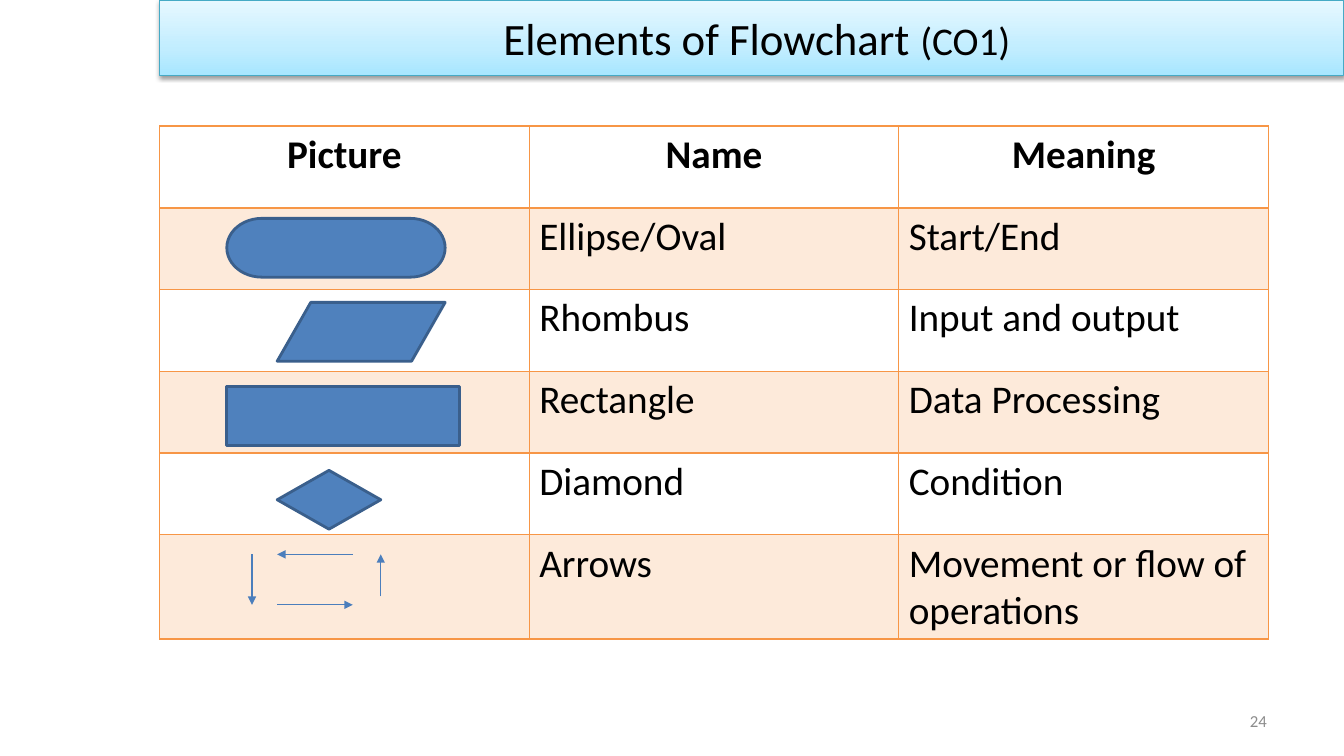
from dataclasses import dataclass

from lxml.etree import SubElement
from pptx import Presentation
from pptx.dml.color import RGBColor
from pptx.enum.shapes import MSO_CONNECTOR, MSO_SHAPE
from pptx.enum.text import MSO_ANCHOR, MSO_AUTO_SIZE, PP_ALIGN
from pptx.oxml import parse_xml
from pptx.oxml.ns import nsdecls, qn
from pptx.slide import Slide
from pptx.table import _Cell
from pptx.text.text import _Paragraph
from pptx.util import Pt


@dataclass(frozen=True)
class Theme:
    font: str = "Calibri"
    ink: str = "000000"
    muted: str = "8C8C8C"
    symbol_fill: str = "4F81BD"
    symbol_line: str = "3A5F8C"
    arrow: str = "4B7EBC"
    grid: str = "F79646"
    band: str = "FDEADA"
    banner_line: str = "46AAC5"
    banner_stops: tuple[tuple[int, str], ...] = (
        (0, "A7E6FF"), (35, "C1EDFF"), (100, "E7F8FF"))
    title_size: float = 32
    text_size: float = 28
    number_size: float = 12


@dataclass(frozen=True)
class Symbol:
    kind: MSO_SHAPE
    left: float
    width: float


@dataclass(frozen=True)
class Arrow:
    start: tuple[float, float]
    end: tuple[float, float]


THEME = Theme()
LEFT = 114
SYMBOL_TOP, SYMBOL_STEP, SYMBOL_HEIGHT = 156, 60, 42
ROWS = (
    ("Picture", "Name", "Meaning"),
    ("", "Ellipse/Oval", "Start/End"),
    ("", "Rhombus", "Input and output"),
    ("", "Rectangle", "Data Processing"),
    ("", "Diamond", "Condition"),
    ("", "Arrows", "Movement or flow of operations"),
)
SYMBOLS = (
    Symbol(MSO_SHAPE.FLOWCHART_TERMINATOR, 162, 156),
    Symbol(MSO_SHAPE.FLOWCHART_DATA, 198, 120),
    Symbol(MSO_SHAPE.FLOWCHART_PROCESS, 162, 166.5),
    Symbol(MSO_SHAPE.FLOWCHART_DECISION, 198, 74),
)
ARROWS = (
    Arrow((180, 396), (180, 432)),
    Arrow((198, 432), (252, 432)),
    Arrow((272, 426), (272, 396)),
    Arrow((252, 396), (198, 396)),
)


def color(code: str) -> RGBColor:
    return RGBColor.from_string(code)


def add_text(para: _Paragraph, text: str, *, size: float = THEME.text_size,
             ink: str = THEME.ink, bold: bool = False,
             align: PP_ALIGN = PP_ALIGN.LEFT) -> None:
    para.alignment = align
    span = para.add_run()
    span.text = text
    span.font.name = THEME.font
    span.font.size = Pt(size)
    span.font.bold = bold
    span.font.color.rgb = color(ink)


def add_banner(page: Slide) -> None:
    banner = page.shapes.title
    banner.left, banner.top = Pt(LEFT), Pt(0)
    banner.width, banner.height = Pt(846), Pt(54)
    stops = "".join(
        f'<a:gs pos="{place * 1000}"><a:srgbClr val="{code}"/></a:gs>'
        for place, code in THEME.banner_stops)
    properties = banner.element.spPr
    properties.append(parse_xml(
        f'<a:prstGeom {nsdecls("a")} prst="rect"><a:avLst/></a:prstGeom>'))
    properties.append(parse_xml(
        f'<a:gradFill {nsdecls("a")} rotWithShape="1"><a:gsLst>{stops}</a:gsLst>'
        '<a:lin ang="16200000" scaled="0"/></a:gradFill>'))
    banner.line.color.rgb = color(THEME.banner_line)
    banner.line.width = Pt(0.75)
    properties.append(parse_xml(
        f'<a:effectLst {nsdecls("a")}><a:outerShdw blurRad="{Pt(3.1)}" '
        f'dist="{Pt(1.6)}" dir="5400000" rotWithShape="0"><a:srgbClr val="000000">'
        '<a:alpha val="38000"/></a:srgbClr></a:outerShdw></a:effectLst>'))
    frame = banner.text_frame
    frame.auto_size = MSO_AUTO_SIZE.NONE
    frame.vertical_anchor = MSO_ANCHOR.MIDDLE
    para = frame.paragraphs[0]
    add_text(para, " Elements of Flowchart ", size=THEME.title_size,
             align=PP_ALIGN.CENTER)
    add_text(para, "(CO1)", align=PP_ALIGN.CENTER)


def set_borders(cell: _Cell, *, top: float, bottom: float) -> None:
    properties = cell._tc.get_or_add_tcPr()
    for side, width in (("L", 1), ("R", 1), ("T", top), ("B", bottom)):
        properties.append(parse_xml(
            f'<a:ln{side} {nsdecls("a")} w="{Pt(width)}"><a:solidFill>'
            f'<a:srgbClr val="{THEME.grid}"/></a:solidFill></a:ln{side}>'))


def add_elements_table(page: Slide) -> None:
    row_height = 58.4
    table = page.shapes.add_table(
        len(ROWS), len(ROWS[0]), Pt(LEFT), Pt(90), Pt(792),
        Pt(row_height * len(ROWS))).table
    table.first_row = table.horz_banding = False
    for index, texts in enumerate(ROWS):
        table.rows[index].height = Pt(row_height)
        header = index == 0
        for column, text in enumerate(texts):
            cell = table.cell(index, column)
            set_borders(cell, top=2 if index == 1 else 1,
                        bottom=2 if header else 1)
            if index % 2:
                cell.fill.solid()
                cell.fill.fore_color.rgb = color(THEME.band)
            else:
                cell.fill.background()
            if text:
                add_text(cell.text_frame.paragraphs[0], text, bold=header,
                         align=PP_ALIGN.CENTER if header else PP_ALIGN.LEFT)


def add_symbol(page: Slide, symbol: Symbol, top: float) -> None:
    shape = page.shapes.add_shape(symbol.kind, Pt(symbol.left), Pt(top),
                                  Pt(symbol.width), Pt(SYMBOL_HEIGHT))
    shape.shadow.inherit = False
    shape.fill.solid()
    shape.fill.fore_color.rgb = color(THEME.symbol_fill)
    shape.line.color.rgb = color(THEME.symbol_line)
    shape.line.width = Pt(2)


def add_arrow(page: Slide, arrow: Arrow) -> None:
    ends = (Pt(length) for length in arrow.start + arrow.end)
    connector = page.shapes.add_connector(MSO_CONNECTOR.STRAIGHT, *ends)
    connector.line.color.rgb = color(THEME.arrow)
    connector.line.width = Pt(0.75)
    SubElement(connector.line._get_or_add_ln(), qn("a:tailEnd"), type="triangle")
    SubElement(connector._element.spPr, qn("a:effectLst"))


def add_page_number(page: Slide) -> None:
    box = page.shapes.add_textbox(Pt(688), Pt(500.5), Pt(224), Pt(28.75))
    frame = box.text_frame
    frame.word_wrap = True
    frame.vertical_anchor = MSO_ANCHOR.MIDDLE
    add_text(frame.paragraphs[0], "24", size=THEME.number_size,
             ink=THEME.muted, align=PP_ALIGN.RIGHT)


def main() -> None:
    deck = Presentation()
    deck.slide_width, deck.slide_height = Pt(960), Pt(540)
    page = deck.slides.add_slide(deck.slide_layouts.get_by_name("Title Only"))
    add_page_number(page)
    add_banner(page)
    add_elements_table(page)
    for index, symbol in enumerate(SYMBOLS):
        add_symbol(page, symbol, SYMBOL_TOP + index * SYMBOL_STEP)
    for arrow in ARROWS:
        add_arrow(page, arrow)
    deck.save("out.pptx")


if __name__ == "__main__":
    main()
